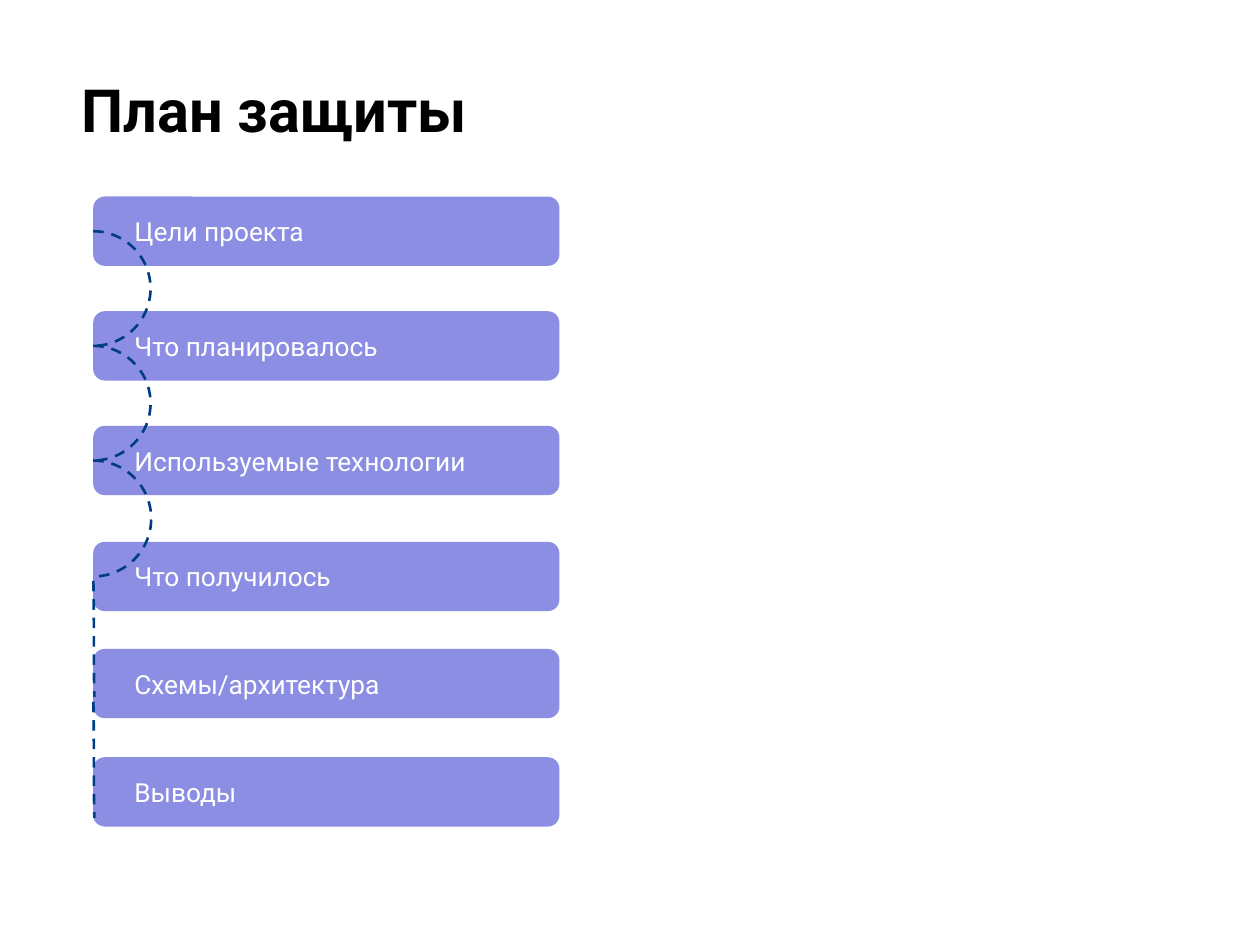
from dataclasses import dataclass

from lxml.etree import SubElement
from pptx import Presentation
from pptx.dml.color import RGBColor
from pptx.enum.dml import MSO_LINE
from pptx.enum.shapes import MSO_CONNECTOR, MSO_SHAPE
from pptx.enum.text import MSO_ANCHOR, PP_ALIGN
from pptx.oxml.ns import qn
from pptx.util import Inches, Pt


@dataclass(frozen=True)
class Theme:
    font: str = "Roboto"
    title_color: RGBColor = RGBColor(0x00, 0x00, 0x00)
    step_color: RGBColor = RGBColor(0xFF, 0xFF, 0xFF)
    step_fill: RGBColor = RGBColor(0x8B, 0x8E, 0xE3)
    link: RGBColor = RGBColor(0x01, 0x3D, 0x85)
    title_size: int = 34
    step_size: int = 15
    link_width: float = 1.5


THEME = Theme()
STEPS = [
    ("Цели проекта", 1.56),
    ("Что планировалось", 2.47),
    ("Используемые технологии", 3.38),
    ("Что получилось", 4.3),
    ("Схемы/архитектура", 5.15),
    ("Выводы", 6.01),
]
STEP_LEFT, STEP_WIDTH, STEP_HEIGHT = 0.74, 3.7, 0.55
TAIL_TOPS, TAIL_HEIGHT = (4.61, 5.57), 0.92
ADJUSTMENT_PER_DEGREE = 60000 / 100000


def write_text(box, text, size, color, side_inset, anchor, bold=False):
    frame = box.text_frame
    frame.text = text
    frame.word_wrap = True
    frame.vertical_anchor = anchor
    frame.margin_left = frame.margin_right = Inches(side_inset)
    frame.margin_top = frame.margin_bottom = Inches(0.1)
    para = frame.paragraphs[0]
    para.alignment = PP_ALIGN.LEFT
    font = para.runs[0].font
    font.name = THEME.font
    font.size = Pt(size)
    font.bold = bold
    font.color.rgb = color


def style_link(line):
    line.color.rgb = THEME.link
    line.width = Pt(THEME.link_width)
    line.dash_style = MSO_LINE.DASH


def add_title(page, left, top, width, height):
    box = page.shapes.add_textbox(Inches(left), Inches(top), Inches(width), Inches(height))
    write_text(
        box, "План защиты", THEME.title_size, THEME.title_color, 0.1, MSO_ANCHOR.TOP, bold=True
    )


def add_step(page, text, left, top, width, height):
    box = page.shapes.add_shape(
        MSO_SHAPE.ROUNDED_RECTANGLE, Inches(left), Inches(top), Inches(width), Inches(height)
    )
    box.shadow.inherit = False
    box.fill.solid()
    box.fill.fore_color.rgb = THEME.step_fill
    box.line.fill.background()
    write_text(box, text, THEME.step_size, THEME.step_color, 0.3, MSO_ANCHOR.MIDDLE)


def add_arc_link(page, x, top, bottom):
    diameter = bottom - top
    arc = page.shapes.add_shape(
        MSO_SHAPE.ARC, Inches(x - diameter / 2), Inches(top), Inches(diameter), Inches(diameter)
    )
    arc.adjustments[0] = 270 * ADJUSTMENT_PER_DEGREE
    arc.adjustments[1] = 90 * ADJUSTMENT_PER_DEGREE
    arc.shadow.inherit = False
    arc.fill.background()
    style_link(arc.line)


def add_tail_link(page, x, top, height):
    link = page.shapes.add_connector(
        MSO_CONNECTOR.CURVE, Inches(x), Inches(top), Inches(x + 0.01), Inches(top + height)
    )
    style_link(link.line)
    SubElement(link.element.spPr, qn("a:effectLst"))


def add_plan(page, left, width, height):
    for text, top in STEPS:
        add_step(page, text, left, top, width, height)
    middles = [top + height / 2 for _, top in STEPS[:4]]
    for start, end in zip(middles, middles[1:]):
        add_arc_link(page, left, start, end)
    for top in TAIL_TOPS:
        add_tail_link(page, left, top, TAIL_HEIGHT)


def main():
    deck = Presentation()
    deck.slide_width, deck.slide_height = Inches(10), Inches(7.5)
    page = deck.slides.add_slide(deck.slide_layouts[6])
    add_title(page, 0.55, 0.48, 9.32, 0.82)
    add_plan(page, STEP_LEFT, STEP_WIDTH, STEP_HEIGHT)
    deck.save("out.pptx")


if __name__ == "__main__":
    main()
